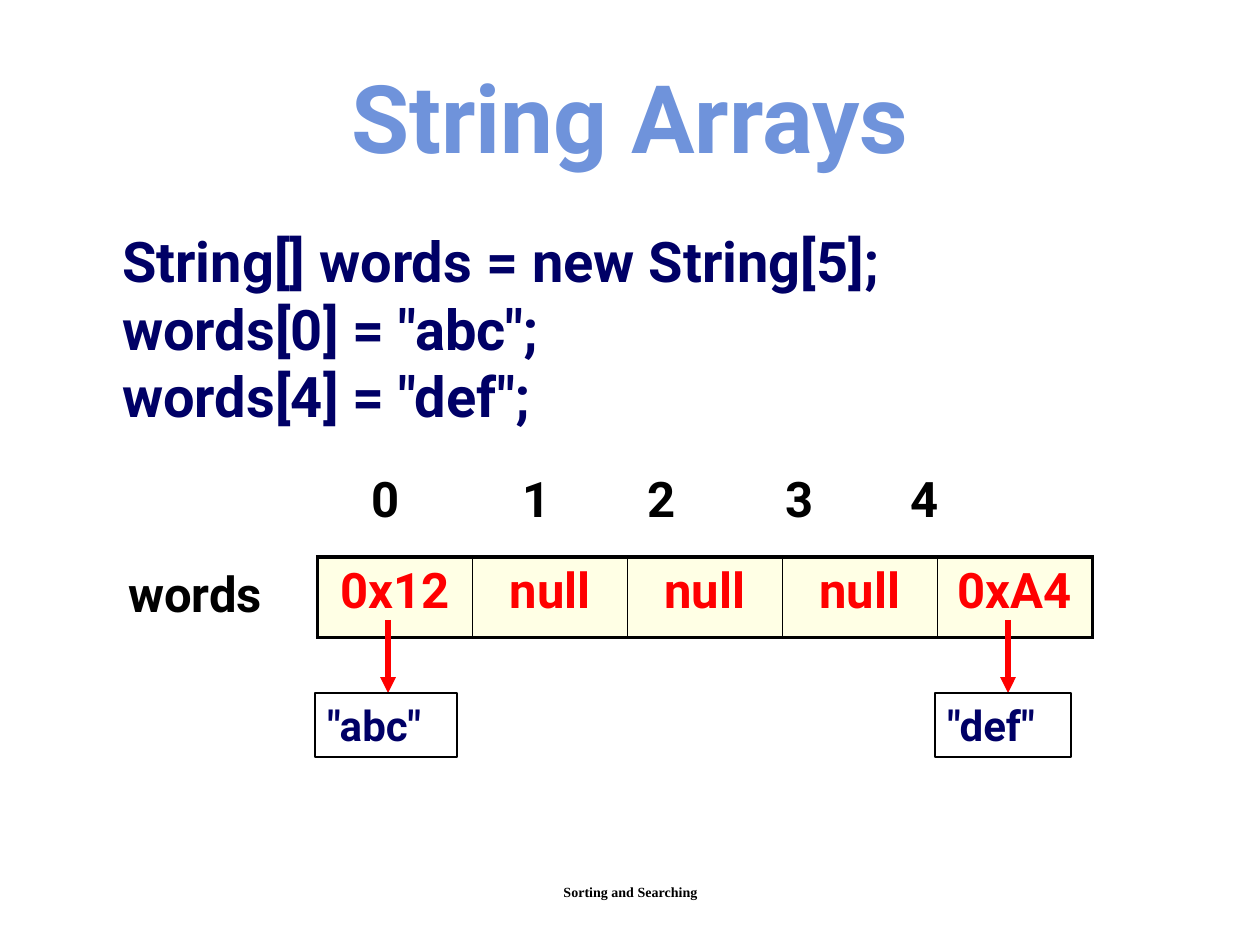
from dataclasses import dataclass

from lxml import etree
from pptx import Presentation
from pptx.dml.color import RGBColor
from pptx.enum.shapes import MSO_CONNECTOR, MSO_SHAPE
from pptx.enum.text import MSO_ANCHOR, MSO_AUTO_SIZE, PP_ALIGN
from pptx.oxml.ns import qn
from pptx.util import Inches, Pt

STRAIGHT = MSO_CONNECTOR.STRAIGHT
RECTANGLE = MSO_SHAPE.RECTANGLE
TOP, MIDDLE = MSO_ANCHOR.TOP, MSO_ANCHOR.MIDDLE
LEFT, CENTER = PP_ALIGN.LEFT, PP_ALIGN.CENTER
NO_AUTOFIT = MSO_AUTO_SIZE.NONE


@dataclass(frozen=True)
class Theme:
    font: str = "Roboto"
    footer_font: str = "Times New Roman"
    title: str = "6F93DB"
    code: str = "000066"
    ink: str = "000000"
    accent: str = "FF0000"
    cell: str = "FFFFCC"
    title_size: float = 54
    code_size: float = 32
    label_size: float = 28
    value_size: float = 24
    footer_size: float = 8
    thin: float = 1
    thick: float = 2.25
    arrow: float = 3


THEME = Theme()


def place(shape, box):
    shape.left, shape.top, shape.width, shape.height = map(Inches, box)


def write(frame, lines, size, color, align=LEFT, font=THEME.font, anchor=TOP):
    frame.text = "\n".join(lines)
    frame.word_wrap = True
    frame.auto_size = NO_AUTOFIT
    frame.vertical_anchor = anchor
    for para in frame.paragraphs:
        style_paragraph(para, size, color, align, font)


def style_paragraph(para, size, color, align, font=THEME.font):
    para.alignment = align
    para.space_before = Pt(0)
    para.font.name = font
    para.font.size = Pt(size)
    para.font.bold = True
    para.font.color.rgb = RGBColor.from_string(color)


def add_label(page, box, text, size, color, **style):
    label = page.shapes.add_textbox(*map(Inches, box))
    write(label.text_frame, [text], size, color, **style)
    return label


def add_title(page, box, text):
    title = page.shapes.title
    place(title, box)
    write(title.text_frame, [text], THEME.title_size, THEME.title, CENTER)


def add_code(page, box, lines):
    body = page.placeholders[1]
    place(body, box)
    write(body.text_frame, lines, THEME.code_size, THEME.code)
    for para in body.text_frame.paragraphs:
        properties = para._p.get_or_add_pPr()
        properties.set("marL", str(Inches(0.12)))
        properties.set("indent", "0")
        etree.SubElement(properties, qn("a:buNone")).getnext()
        properties.insert_element_before(properties.find(qn("a:buNone")), "a:tabLst", "a:defRPr")


def add_indexes(page, box, centers):
    text = "".join(f"\t{index}" for index in range(len(centers)))
    label = add_label(page, box, text, THEME.label_size, THEME.ink)
    properties = label.text_frame.paragraphs[0]._p.get_or_add_pPr()
    stops = etree.Element(qn("a:tabLst"))
    for center in centers:
        etree.SubElement(stops, qn("a:tab"), pos=str(Inches(center)), algn="ctr")
    properties.insert_element_before(stops, "a:defRPr")


def set_borders(cell, widths):
    properties = cell._tc.get_or_add_tcPr()
    for place_in_order, (side, width) in enumerate(widths.items()):
        line = etree.Element(qn(f"a:ln{side}"), w=str(Pt(width)))
        fill = etree.SubElement(line, qn("a:solidFill"))
        etree.SubElement(fill, qn("a:srgbClr"), val=THEME.ink)
        properties.insert(place_in_order, line)


def add_array(page, box, values):
    table = page.shapes.add_table(1, len(values), *map(Inches, box)).table
    table.first_row = table.horz_banding = False
    last = len(values) - 1
    for index, value in enumerate(values):
        table.columns[index].width = Inches(box[2] / len(values))
        cell = table.cell(0, index)
        cell.text = value
        style_paragraph(cell.text_frame.paragraphs[0], THEME.label_size, THEME.accent, CENTER)
        cell.fill.solid()
        cell.fill.fore_color.rgb = RGBColor.from_string(THEME.cell)
        color = cell._tc.tcPr.find(".//" + qn("a:srgbClr"))
        etree.SubElement(color, qn("a:alpha"), val="50000")
        set_borders(cell, {
            "L": THEME.thick if index == 0 else THEME.thin,
            "R": THEME.thick if index == last else THEME.thin,
            "T": THEME.thick,
            "B": THEME.thick,
        })


def add_reference(page, box, text, arrow_x, arrow_top):
    arrow = page.shapes.add_connector(
        STRAIGHT, *map(Inches, (arrow_x, arrow_top, arrow_x, box[1])))
    arrow.line.color.rgb = RGBColor.from_string(THEME.accent)
    arrow.line.width = Pt(THEME.arrow)
    etree.SubElement(arrow.line._get_or_add_ln(), qn("a:tailEnd"), type="triangle")
    etree.SubElement(arrow._element.spPr, qn("a:effectLst"))

    target = page.shapes.add_shape(RECTANGLE, *map(Inches, box))
    target.shadow.inherit = False
    target.fill.background()
    target.line.color.rgb = RGBColor.from_string(THEME.ink)
    target.line.width = Pt(THEME.thin)
    write(target.text_frame, [text], THEME.value_size, THEME.code)


def main():
    deck = Presentation()
    deck.slide_width, deck.slide_height = Inches(10), Inches(7.5)
    page = deck.slides.add_slide(deck.slide_layouts[1])
    add_label(page, (3.42, 6.83, 3.17, 0.5), "Sorting and Searching",
              THEME.footer_size, THEME.ink, align=CENTER,
              font=THEME.footer_font, anchor=MIDDLE)
    add_code(page, (0.75, 1.75, 8.25, 1.7), [
        "String[] words = new String[5];",
        'words[0] = "abc";',
        'words[4] = "def";',
    ])
    add_label(page, (0.92, 4.42, 1.4, 0.57), "words", THEME.label_size, THEME.ink)
    add_array(page, (2.52, 4.42, 6.15, 0.64), ["0x12", "null", "null", "null", "0xA4"])
    add_indexes(page, (2.67, 3.67, 5.75, 0.57), [0.29, 1.49, 2.48, 3.58, 4.57])
    add_reference(page, (2.5, 5.5, 1.13, 0.51), '"abc"', 3.08, 4.92)
    add_reference(page, (7.42, 5.5, 1.08, 0.51), '"def"', 8, 4.92)
    add_title(page, (0, 0.42, 10, 1.01), "String Arrays")
    deck.save("out.pptx")


if __name__ == "__main__":
    main()
